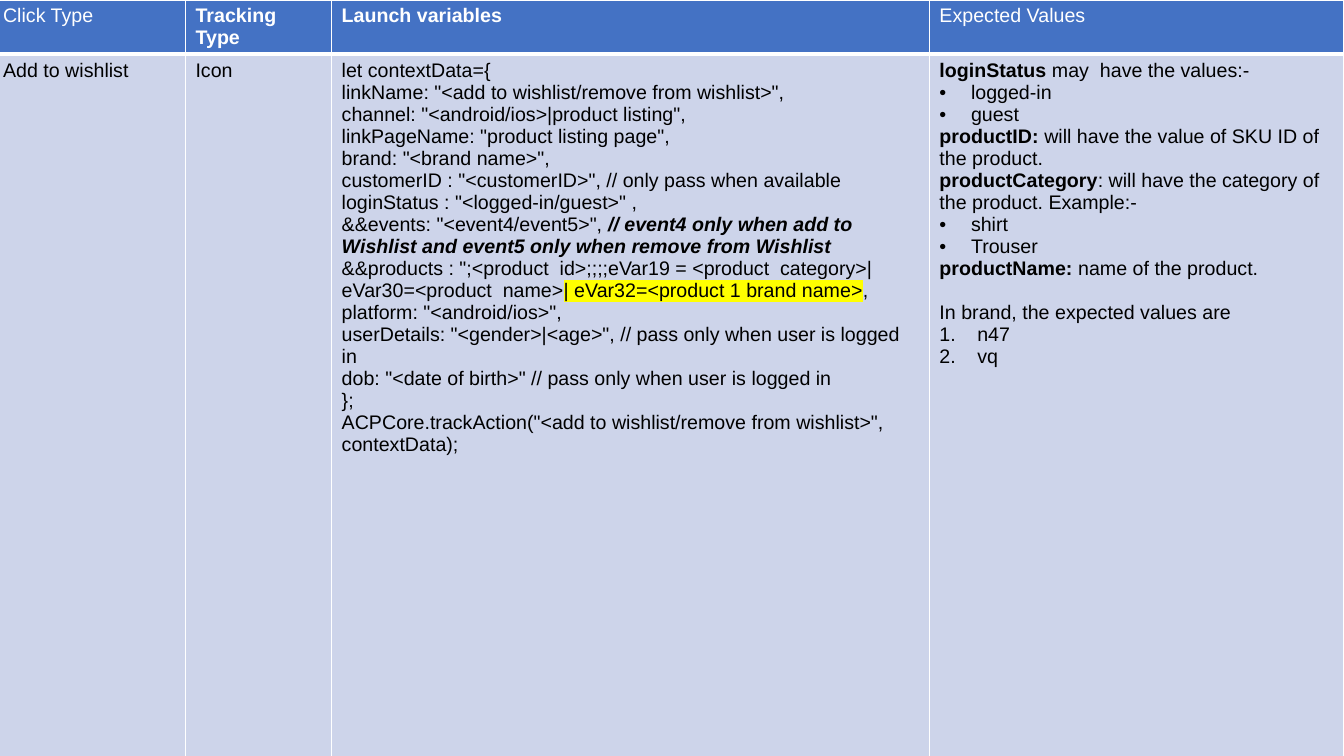
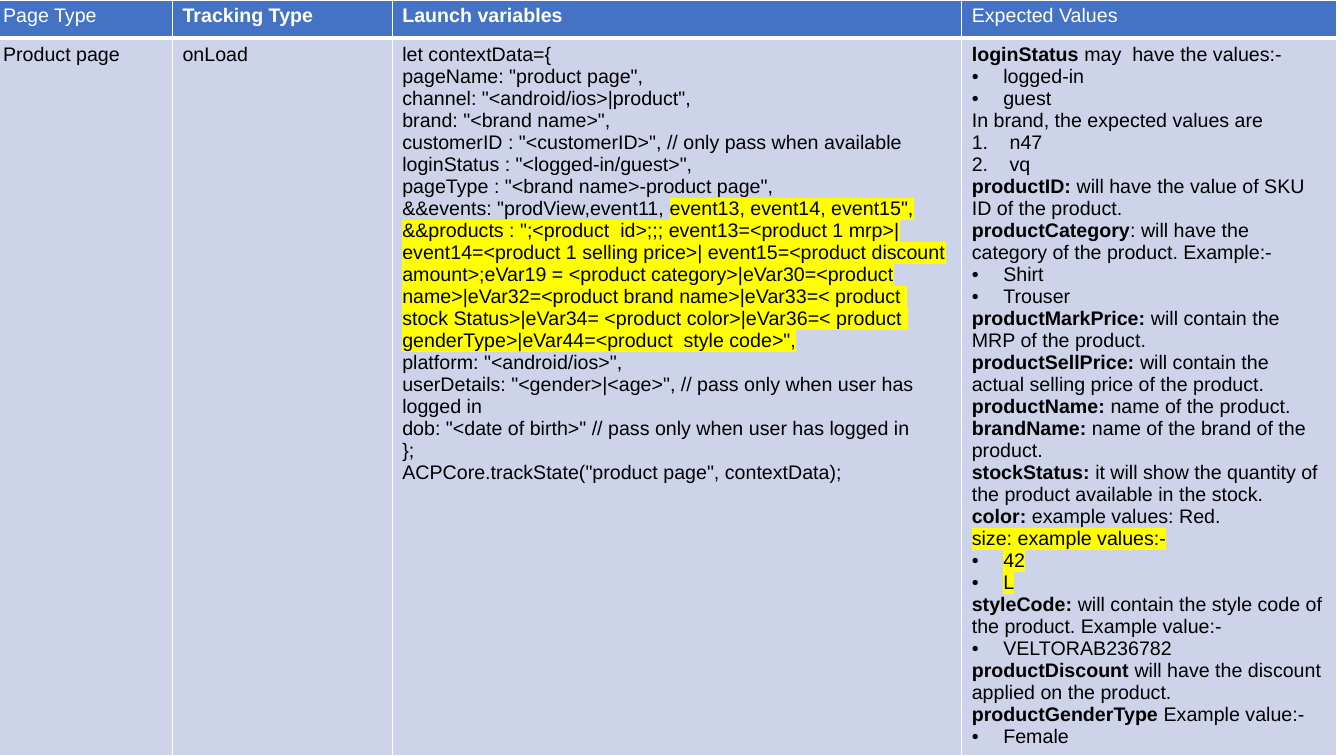
"""Build two tracking-specification slides, each a full-page table."""
from dataclasses import dataclass

from lxml import etree
from pptx import Presentation
from pptx.dml.color import RGBColor
from pptx.oxml import ns
from pptx.util import Pt

HEADER_BLUE = RGBColor(0x44, 0x72, 0xC4)
BODY_BLUE = RGBColor(0xCD, 0xD4, 0xEA)
WHITE = RGBColor(0xFF, 0xFF, 0xFF)
BLACK = RGBColor(0, 0, 0)
YELLOW = RGBColor(0xFF, 0xFF, 0)
FONT = "Arial"
TEXT_SIZE = Pt(14)
TABLE_LEFT = Pt(-5)
ROW_HEIGHTS = (Pt(27.36), Pt(512.64))
THIN, THICK = Pt(1), Pt(3)
MARKERS = {
    "bullet": (Pt(22.5), "a:buChar", {"char": "•"}),
    "number": (Pt(27), "a:buAutoNum", {"type": "arabicPeriod"}),
}


@dataclass
class Line:
    """One paragraph: (text, format) runs, list marker and space before."""
    runs: list
    marker: str = ""
    gap: int = 0


def plain(*texts):
    """Return one unformatted paragraph per text."""
    return [Line([(text, {})]) for text in texts]


def listed(marker, *items, **style):
    """Return list items that share a marker and a run format."""
    return [Line([(item, style)], marker) for item in items]


def term(name, meaning):
    """Return a bold name followed by its meaning."""
    return [Line([(name, {"bold": True}), (meaning, {})])]


def add_element(parent, tag, **attributes):
    """Append a DrawingML element and return it."""
    return etree.SubElement(parent, ns.qn(tag), attributes)


def add_text(paragraph, text, color=BLACK, bold=False, italic=False, highlight=None):
    """Add formatted text, turning newlines into line breaks."""
    for index, part in enumerate(text.split("\n")):
        if index:
            paragraph.add_line_break()
        run = paragraph.add_run()
        run.text = part
        font = run.font
        font.size, font.bold, font.italic = TEXT_SIZE, bold, italic
        font.color.rgb = color
        font.name = FONT
        if highlight is not None:
            properties = run._r.get_or_add_rPr()
            marking = add_element(properties, "a:highlight")
            add_element(marking, "a:srgbClr", val=str(highlight))
            properties.find(ns.qn("a:latin")).addprevious(marking)


def set_marker(paragraph, marker):
    """Give a paragraph a hanging bullet or number."""
    indent, tag, attributes = MARKERS[marker]
    properties = paragraph._p.get_or_add_pPr()
    properties.set("marL", str(indent))
    properties.set("indent", str(-indent))
    add_element(properties, "a:buFont", typeface=FONT)
    add_element(properties, tag, **attributes)


def style_cell(cell, fill, top=THIN, bottom=THIN):
    """Set the white borders and the fill of a cell."""
    properties = cell._tc.get_or_add_tcPr()
    borders = {"a:lnL": THIN, "a:lnR": THIN, "a:lnT": top, "a:lnB": bottom}
    for tag, width in borders.items():
        border = add_element(properties, tag, w=str(width))
        add_element(add_element(border, "a:solidFill"), "a:srgbClr", val=str(WHITE))
    cell.fill.solid()
    cell.fill.fore_color.rgb = fill


def fill_cell(cell, lines, **style):
    """Write the paragraphs of a cell."""
    frame = cell.text_frame
    for index, line in enumerate(lines):
        paragraph = frame.add_paragraph() if index else frame.paragraphs[0]
        if line.marker:
            set_marker(paragraph, line.marker)
        if line.gap:
            paragraph.space_before = Pt(line.gap)
        for text, run_style in line.runs:
            add_text(paragraph, text, **{**style, **run_style})


def add_tracking_slide(presentation, subject, widths, body):
    """Add a slide with a header row and one body row."""
    slide = presentation.slides.add_slide(presentation.slide_layouts[6])
    table = slide.shapes.add_table(
        2, len(widths), TABLE_LEFT, 0, Pt(sum(widths)), sum(ROW_HEIGHTS)).table
    table.horz_banding = False
    for row, height in zip(table.rows, ROW_HEIGHTS):
        row.height = height
    headings = ((subject, False), ("Tracking Type", True),
                ("Launch variables", True), ("Expected Values", False))
    for column, (width, (heading, bold), lines) in enumerate(zip(widths, headings, body)):
        table.columns[column].width = Pt(width)
        header_cell, body_cell = table.cell(0, column), table.cell(1, column)
        style_cell(header_cell, HEADER_BLUE, bottom=THICK)
        style_cell(body_cell, BODY_BLUE, top=THICK)
        fill_cell(header_cell, plain(heading), color=WHITE, bold=bold)
        fill_cell(body_cell, lines)


MARKED = {"highlight": YELLOW}
CUSTOMER = 'customerID : "<customerID>", // only pass when available'
LOGIN_VALUES = (term("loginStatus ", "may  have the values:-")
                + listed("bullet", "logged-in", "guest"))
BRAND_INTRO = "In brand, the expected values are"
BRAND_VALUES = listed("number", "n47", "vq")
PRODUCT_TERMS = (
    term("productID:", " will have the value of SKU ID of the product.")
    + term("productCategory", ": will have the category of the product. Example:-"))
PRODUCT_NAME = term("productName: ", "name of the product.")


def user_fields(condition):
    """Return the platform, user and birth date fields with the closing brace."""
    return plain(
        'platform: "<android/ios>",\n'
        f'userDetails: "<gender>|<age>", // pass only when {condition}\n'
        f'dob: "<date of birth>" // pass only when {condition}', "};")


WISHLIST_CODE = (
    plain("let contextData={",
          'linkName: "<add to wishlist/remove from wishlist>",\n'
          'channel: "<android/ios>|product listing",',
          'linkPageName: "product listing page",',
          'brand: "<brand name>",',
          CUSTOMER,
          'loginStatus : "<logged-in/guest>" ,')
    + [Line([('&&events: "<event4/event5>", ', {}),
             ("// event4 only when add to Wishlist and event5 only when remove from Wishlist",
              {"bold": True, "italic": True})]),
       Line([('&&products : ";<product  id>;;;;eVar19 = <product  category>|'
              "eVar30=<product  name>", {}),
             ("| eVar32=<product 1 brand name>", MARKED), (",", {})])]
    + user_fields("user is logged in")
    + plain('ACPCore.trackAction("<add to wishlist/remove from wishlist>", contextData);'))

WISHLIST_VALUES = (
    LOGIN_VALUES + PRODUCT_TERMS + listed("bullet", "shirt", "Trouser") + PRODUCT_NAME
    + [Line([(BRAND_INTRO, {})], gap=16)] + BRAND_VALUES)

PRODUCT_CODE = (
    plain("let contextData={",
          'pageName: "product page",',
          'channel: "<android/ios>|product",',
          'brand: "<brand name>",',
          CUSTOMER,
          'loginStatus : "<logged-in/guest>",')
    + [Line([('pageType : "<brand name>-product page",\n&&events: "prodView,event11, ', {}),
             ('event13, event14, event15",', MARKED)]),
       Line([('&&products : ";<product  id>;;; event13=<product 1 mrp>| '
              "event14=<product 1 selling price>| event15=<product discount amount>;"
              "eVar19 = <product category>|eVar30=<product name>|"
              "eVar32=<product brand name>|eVar33=< product  stock Status>|"
              "eVar34= <product color>|eVar36=< product  genderType>|"
              'eVar44=<product  style code>",', MARKED)])]
    + user_fields("user has logged in")
    + plain('ACPCore.trackState("product page", contextData);'))

PRODUCT_VALUES = (
    LOGIN_VALUES + plain(BRAND_INTRO) + BRAND_VALUES
    + PRODUCT_TERMS + listed("bullet", "Shirt", "Trouser")
    + term("productMarkPrice: ", "will contain the MRP of the product.")
    + term("productSellPrice: ", "will contain the actual selling price of the product.")
    + PRODUCT_NAME
    + term("brandName: ", "name of the brand of the product.")
    + term("stockStatus: ", "it will show the quantity of the product available in the stock.")
    + term("color: ", "example values: Red.")
    + [Line([("size: example values:-", MARKED)])]
    + listed("bullet", "42", "L", **MARKED)
    + term("styleCode: ", "will contain the style code of the product. Example value:-")
    + listed("bullet", "VELTORAB236782")
    + term("productDiscount ", "will have the discount applied on the product.")
    + term("productGenderType ", "Example value:-")
    + listed("bullet", "Female"))


def main():
    """Build and save the presentation."""
    presentation = Presentation()
    presentation.slide_width, presentation.slide_height = Pt(960), Pt(540)
    add_tracking_slide(
        presentation, "Click Type", (137.5, 104.4, 427, 295.9),
        (plain("Add to wishlist"), plain("Icon"), WISHLIST_CODE, WISHLIST_VALUES))
    add_tracking_slide(
        presentation, "Page Type", (128.2, 157, 406.8, 267.8),
        (plain("Product page"), plain("onLoad"), PRODUCT_CODE, PRODUCT_VALUES))
    presentation.save("out.pptx")


if __name__ == "__main__":
    main()
